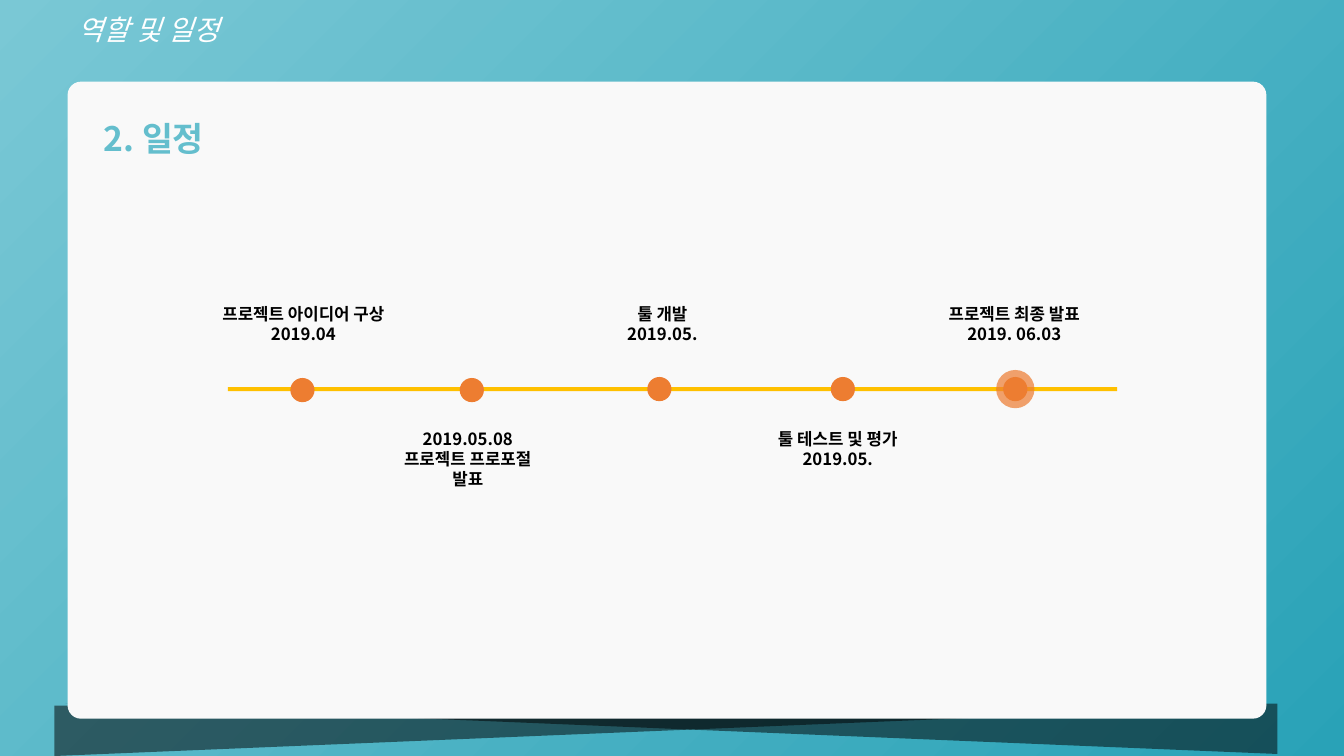
from lxml.etree import SubElement
from pptx import Presentation
from pptx.dml.color import RGBColor
from pptx.enum.shapes import MSO_SHAPE
from pptx.enum.text import MSO_ANCHOR, PP_ALIGN
from pptx.oxml.ns import qn
from pptx.util import Inches, Pt

FONT = "Noto Sans CJK KR"
COLORS = {
    "sky": "7AC8D5", "teal": "29A2B7", "heading": "64BECD", "white": "FFFFFF",
    "black": "000000", "panel": "F9F9F9", "line": "FFC000", "dot": "ED7D31",
}
HEADER = {"size": Pt(20), "italic": True}
HEADING = {"size": Pt(24), "bold": True}
LABEL = {"size": Pt(12), "bold": True}
DOT_SIZE = 0.24
HALO_SIZE = 0.38
LABEL_WIDTH = 3.3
ABOVE, BELOW = 2.96, 4.2
MILESTONES = [
    (3.0, 3.87, 3.01, ABOVE, ["프로젝트 아이디어 구상", "2019.04"]),
    (4.68, 3.87, 4.64, BELOW, ["2019.05.08", "프로젝트 프로포절", "발표"]),
    (6.54, 3.86, 6.57, ABOVE, ["툴 개발", "2019.05."]),
    (8.36, 3.86, 8.31, BELOW, ["툴 테스트 및 평가", "2019.05."]),
    (10.07, 3.86, 10.06, ABOVE, ["프로젝트 최종 발표", "2019. 06.03"]),
]


def color(name):
    """Return the named colour."""
    return RGBColor.from_string(COLORS[name])


def paint_background(slide):
    """Fill the slide with a diagonal gradient."""
    fill = slide.background.fill
    fill.gradient()
    fill.gradient_angle = 315
    for stop, name, position in zip(fill.gradient_stops, ("sky", "teal"), (0, 1)):
        stop.color.rgb = color(name)
        stop.position = position


def add_block(slide, kind, box, fill_name, opacity=100):
    """Add a plain filled shape without outline or shadow."""
    shape = slide.shapes.add_shape(kind, *(Inches(value) for value in box))
    shape.shadow.inherit = False
    shape.fill.solid()
    shape.fill.fore_color.rgb = color(fill_name)
    shape.line.fill.background()
    if opacity < 100:
        fill_color = shape._element.spPr.find(qn("a:solidFill"))[0]
        SubElement(fill_color, qn("a:alpha"), val=str(opacity * 1000))
    return shape


def add_text(slide, box, lines, formats, color_name, align=PP_ALIGN.LEFT, spacing=1.0):
    """Add a text box with one paragraph per line."""
    shape = slide.shapes.add_textbox(*(Inches(value) for value in box))
    frame = shape.text_frame
    frame.word_wrap = True
    frame.vertical_anchor = MSO_ANCHOR.TOP
    for index, line in enumerate(lines):
        paragraph = frame.paragraphs[0] if index == 0 else frame.add_paragraph()
        paragraph.alignment = align
        paragraph.line_spacing = spacing
        run = paragraph.add_run()
        run.text = line
        for name, value in formats.items():
            setattr(run.font, name, value)
        run.font.color.rgb = color(color_name)
        run.font.name = FONT
        SubElement(run.font._element, qn("a:ea"), typeface=FONT)


def add_panel(slide):
    """Add the rounded panel over its two wedge-shaped shadows."""
    for left, top, flipped in ((0.65, 6.98, False), (0.54, 7, True)):
        wedge = add_block(slide, MSO_SHAPE.RIGHT_TRIANGLE, (left, top, 12.02, 0.5), "black", 51)
        wedge.rotation = 180
        if flipped:
            wedge._element.spPr.xfrm.set("flipH", "1")
    panel = add_block(slide, MSO_SHAPE.ROUNDED_RECTANGLE, (0.67, 0.81, 11.89, 6.32), "panel")
    panel.adjustments[0] = 0.021


def add_dot(slide, center_x, center_y, size, opacity=100):
    """Add a timeline dot around its centre."""
    box = (center_x - size / 2, center_y - size / 2, size, size)
    add_block(slide, MSO_SHAPE.OVAL, box, "dot", opacity)


def add_timeline(slide):
    """Add the line, its dots and their labels, with a halo on the last dot."""
    add_block(slide, MSO_SHAPE.RECTANGLE, (2.26, 3.84, 8.82, 0.04), "line")
    add_dot(slide, *MILESTONES[-1][:2], HALO_SIZE, 71)
    for dot_x, dot_y, label_x, label_top, lines in MILESTONES:
        add_dot(slide, dot_x, dot_y, DOT_SIZE)
        box = (label_x - LABEL_WIDTH / 2, label_top, LABEL_WIDTH, 0.1 + 0.2 * len(lines))
        add_text(slide, box, lines, LABEL, "black", PP_ALIGN.CENTER)


def main():
    """Build the schedule slide and save it."""
    presentation = Presentation()
    presentation.slide_width = Inches(13.33)
    presentation.slide_height = Inches(7.5)
    slide = presentation.slides.add_slide(presentation.slide_layouts[6])
    paint_background(slide)
    add_panel(slide)
    add_text(slide, (0.67, 0.08, 7.52, 0.44), ["역할 및 일정"], HEADER, "white")
    add_text(slide, (0.93, 0.92, 1.63, 0.7), ["2. 일정"], HEADING, "heading", spacing=1.5)
    add_timeline(slide)
    presentation.save("out.pptx")


if __name__ == "__main__":
    main()
